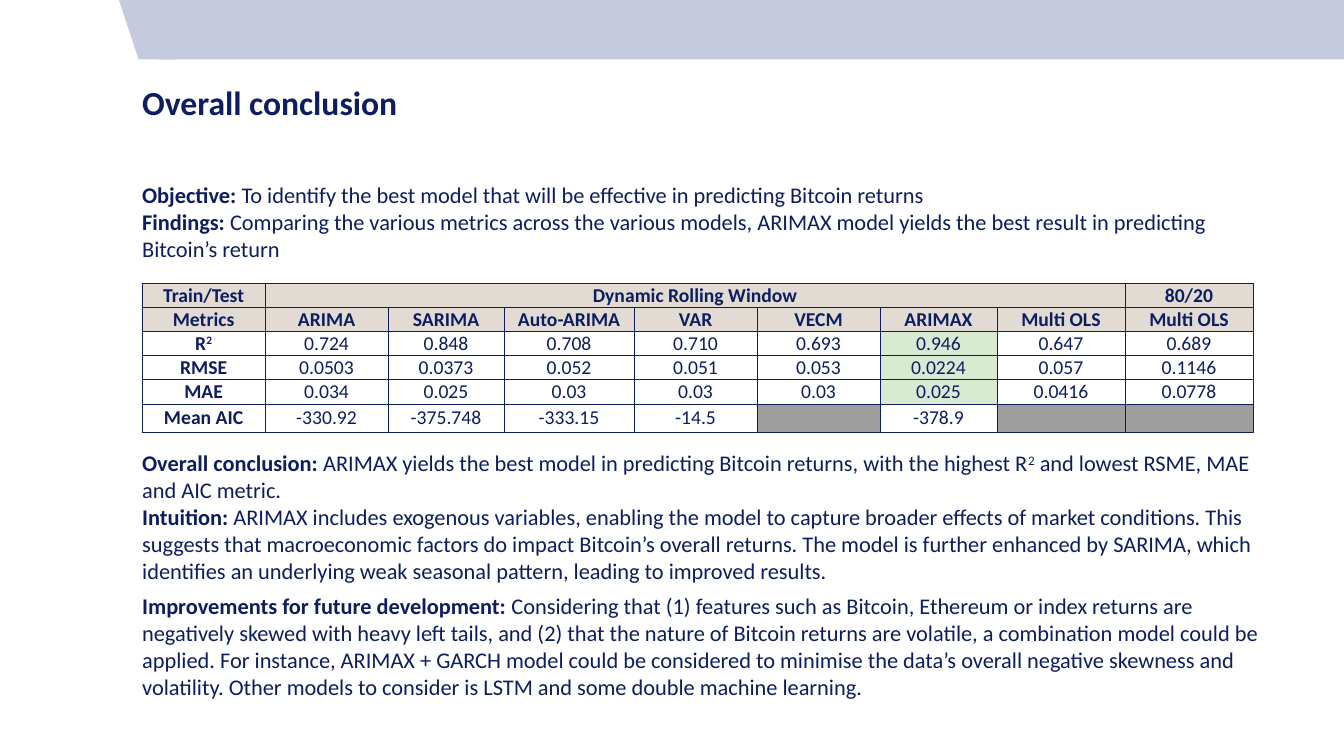
import lxml.etree
import pptx
import pptx.dml.color
import pptx.enum.shapes
import pptx.enum.text
import pptx.oxml.ns
import pptx.util

Inches = pptx.util.Inches
Pt = pptx.util.Pt
SHAPE = pptx.enum.shapes.MSO_SHAPE
ALIGN = pptx.enum.text.PP_ALIGN
ANCHOR = pptx.enum.text.MSO_ANCHOR
qn = pptx.oxml.ns.qn

COLORS = {
    "navy": "0E1D5F",
    "banner": "C5CBDD",
    "heading": "E1DBD4",
    "best": "D9EAD3",
    "missing": "9E9E9E",
    "plain": "FFFFFF",
}
TEXT_FRAME = {
    "word_wrap": True,
    "vertical_anchor": ANCHOR.TOP,
    "margin_left": 0,
    "margin_top": 0,
    "margin_right": Inches(0.1),
    "margin_bottom": Inches(0.05),
}
CELL = {
    "vertical_anchor": ANCHOR.MIDDLE,
    "margin_left": Inches(0.1),
    "margin_top": 0,
    "margin_right": Inches(0.1),
    "margin_bottom": 0,
}
CELL_SIZE = 14

TITLE = [[("Overall conclusion", "bold")]]
SUMMARY = [
    [("Objective: ", "bold"),
     ("To identify the best model that will be effective in predicting Bitcoin returns", "")],
    [("Findings:", "bold"),
     (" Comparing the various metrics across the various models, ARIMAX model yields "
      "the best result in predicting Bitcoin’s return", "")],
]
CONCLUSION = [
    [("Overall conclusion: ", "bold"),
     ("ARIMAX yields the best model in predicting Bitcoin returns, with the highest R", ""),
     ("2", "super"),
     (" and lowest RSME, MAE and AIC metric.", "")],
    [("Intuition: ", "bold"),
     ("ARIMAX includes exogenous variables, enabling the model to capture broader effects "
      "of market conditions. This suggests that macroeconomic factors do impact Bitcoin’s "
      "overall returns. The model is further enhanced by SARIMA, which identifies an "
      "underlying weak seasonal pattern, leading to improved results.", "")],
    [("Improvements for future development: ", "bold"),
     ("Considering that (1) features such as Bitcoin, Ethereum or index returns are "
      "negatively skewed with heavy left tails, and (2) that the nature of Bitcoin returns "
      "are volatile, a combination model could be applied. For instance, ARIMAX + GARCH "
      "model could be considered to minimise the data’s overall negative skewness and "
      "volatility. Other models to consider is LSTM and some double machine learning.", "")],
]
METRICS = [
    ["Train/Test", "Dynamic Rolling Window", "", "", "", "", "", "", "80/20"],
    ["Metrics", "ARIMA", "SARIMA", "Auto-ARIMA", "VAR", "VECM", "ARIMAX", "Multi OLS", "Multi OLS"],
    ["R", "0.724", "0.848", "0.708", "0.710", "0.693", "0.946", "0.647", "0.689"],
    ["RMSE", "0.0503", "0.0373", "0.052", "0.051", "0.053", "0.0224", "0.057", "0.1146"],
    ["MAE", "0.034", "0.025", "0.03", "0.03", "0.03", "0.025", "0.0416", "0.0778"],
    ["Mean AIC", "-330.92", "-375.748", "-333.15", "-14.5", "", "-378.9", "", ""],
]
MODEL_WIDTHS = [1.22, 1.22, 1.15, 1.29, 1.22, 1.22, 1.16, 1.27, 1.27]
METRIC_HEIGHTS = [0.24] * 5 + [0.28]
ARIMAX_COLUMN = METRICS[1].index("ARIMAX")


def rgb(name):
    """Return the named colour."""
    return pptx.dml.color.RGBColor.from_string(COLORS[name])


def apply(target, values):
    """Set every attribute in the format dict on the target."""
    for name, value in values.items():
        setattr(target, name, value)


def add_run(paragraph, text, size, bold=False, raised=False):
    """Append one formatted run to a paragraph."""
    run = paragraph.add_run()
    run.text = text
    apply(run.font, {"name": "Calibri", "size": Pt(size), "bold": bold})
    run.font.color.rgb = rgb("navy")
    if raised:
        run.font._element.set("baseline", "30000")


def add_banner(slide, left, top, width, height):
    """Draw the top band with its slanted left end."""
    slant_width = 0.78
    overlap = 0.4
    parts = [
        (SHAPE.RECTANGLE, left + slant_width - overlap, width - slant_width + overlap),
        (SHAPE.TRAPEZOID, left, slant_width),
    ]
    for preset, part_left, part_width in parts:
        part = slide.shapes.add_shape(
            preset, Inches(part_left), Inches(top), Inches(part_width), Inches(height))
        apply(part, {"rotation": 180})
        part.shadow.inherit = False
        part.fill.solid()
        part.fill.fore_color.rgb = rgb("banner")
        part.line.fill.background()
        if preset == SHAPE.TRAPEZOID:
            part.adjustments[0] = 0.33


def add_passage(slide, left, top, width, height, paragraphs, size, gaps=()):
    """Write paragraphs of styled runs, with space before those listed in gaps."""
    frame = slide.shapes.add_textbox(
        Inches(left), Inches(top), Inches(width), Inches(height)).text_frame
    apply(frame, TEXT_FRAME)
    for index, runs in enumerate(paragraphs):
        paragraph = frame.add_paragraph() if index else frame.paragraphs[0]
        if index in gaps:
            paragraph.space_before = Pt(6)
        for text, style in runs:
            add_run(paragraph, text, size, style == "bold", style == "super")


def add_borders(cell):
    """Give all four sides of a cell a thin navy line."""
    properties = cell._tc.get_or_add_tcPr()
    for side in ("a:lnL", "a:lnR", "a:lnT", "a:lnB"):
        line = lxml.etree.SubElement(properties, qn(side), w=str(Pt(0.75)))
        fill = lxml.etree.SubElement(line, qn("a:solidFill"))
        lxml.etree.SubElement(fill, qn("a:srgbClr"), val=COLORS["navy"])


def cell_color(row, column, text):
    """Name the fill for a cell by its place and content."""
    if row < 2:
        return "heading"
    if not text:
        return "missing"
    return "best" if column == ARIMAX_COLUMN and row < 5 else "plain"


def add_metrics(slide, left, top, width, height):
    """Build the table that compares the models by metric."""
    metrics = slide.shapes.add_table(
        len(METRICS), len(MODEL_WIDTHS),
        Inches(left), Inches(top), Inches(width), Inches(height)).table
    apply(metrics, {"first_row": False, "horz_banding": False})
    for column, share in zip(metrics.columns, MODEL_WIDTHS):
        column.width = Inches(share * width / sum(MODEL_WIDTHS))
    for row, share in zip(metrics.rows, METRIC_HEIGHTS):
        row.height = Inches(share * height / sum(METRIC_HEIGHTS))
    for row, values in enumerate(METRICS):
        for column, text in enumerate(values):
            cell = metrics.cell(row, column)
            apply(cell, CELL)
            add_borders(cell)
            cell.fill.solid()
            cell.fill.fore_color.rgb = rgb(cell_color(row, column, text))
            paragraph = cell.text_frame.paragraphs[0]
            paragraph.alignment = ALIGN.CENTER
            if text:
                add_run(paragraph, text, CELL_SIZE, row < 2 or column == 0)
            else:
                lxml.etree.SubElement(
                    paragraph._p, qn("a:endParaRPr"), sz=str(CELL_SIZE * 100))
            if text == "R":
                add_run(paragraph, "2", CELL_SIZE, True, True)
    metrics.cell(0, 1).merge(metrics.cell(0, 7))


def main():
    """Build and save the conclusion slide."""
    deck = pptx.Presentation()
    apply(deck, {"slide_width": Inches(13.33), "slide_height": Inches(7.5)})
    slide = deck.slides.add_slide(deck.slide_layouts[6])
    left, width = 1.41, 11.25
    add_banner(slide, 1.18, 0, 12.15, 0.59)
    add_passage(slide, left, 0.81, width, 0.89, TITLE, 24)
    add_passage(slide, left, 1.8, width, 0.9, SUMMARY, 16)
    add_metrics(slide, left, 2.81, sum(MODEL_WIDTHS), sum(METRIC_HEIGHTS))
    add_passage(slide, left, 4.46, width, 2.89, CONCLUSION, 16, gaps=(2,))
    deck.save("out.pptx")


if __name__ == "__main__":
    main()
